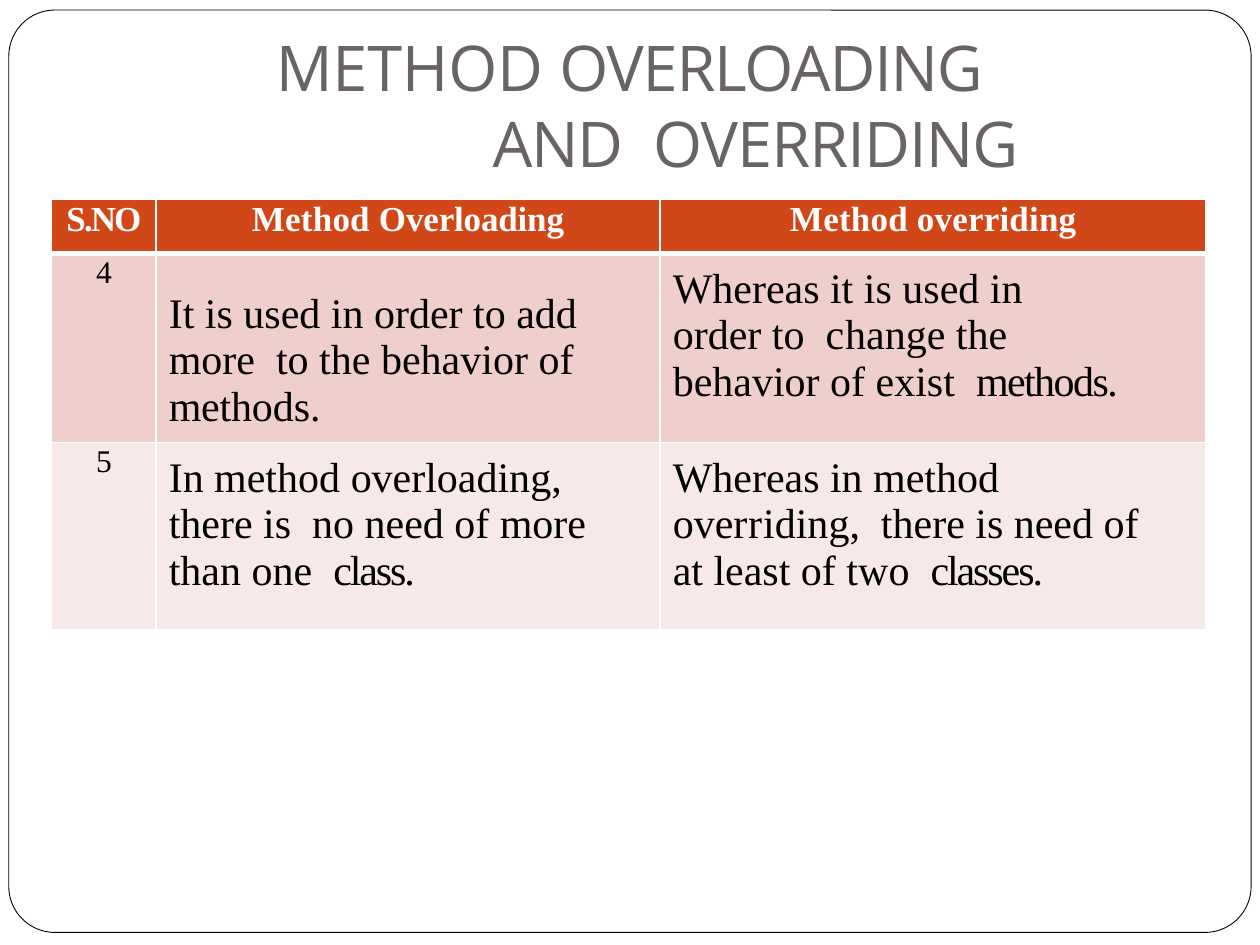
import pptx
import pptx.util
import pptx.dml.color
import pptx.enum.shapes
import pptx.enum.text
import pptx.oxml.ns
import lxml.etree

Inches, Pt = pptx.util.Inches, pptx.util.Pt
RGBColor = pptx.dml.color.RGBColor
CENTER = pptx.enum.text.PP_ALIGN.CENTER
LEFT = pptx.enum.text.PP_ALIGN.LEFT

BLACK = RGBColor(0x00, 0x00, 0x00)
WHITE = RGBColor(0xFF, 0xFF, 0xFF)
GRAY = RGBColor(0x69, 0x63, 0x63)
RUST = RGBColor(0xD2, 0x47, 0x17)
ROSE = RGBColor(0xEE, 0xCF, 0xCC)
BLUSH = RGBColor(0xF7, 0xE9, 0xE7)

WIDE, HIGH = 10, 7.5
COLS = (0.83, 4, 4.33)
ROWS = (0.43, 1.49, 1.49)
FILLS = (RUST, ROSE, BLUSH)
SERIF = "Times New Roman"

TITLE = [("METHOD ", -0.1), ("OVERLOADING ", -0.7), ("AND  ", -0.8), ("OVERRIDING", -0.5)]

# Each cell: runs of (text, letter spacing), size, top inset,
# space before, left indent (None means centred), right indent.
HEAD = [
    ([("S.NO", -1.1)], 20, 0.01, 0.8, None, 0),
    ([("Method ", 0.1), ("Overloading", -0.1)], 20, 0.01, 0.8, 0.76, 0),
    ([("Method overriding", 0.1)], 20, 0.01, 0.8, 1.03, 0),
]
FOUR = [
    ([("4", 0)], 18, 0.02, 1.1, None, 0),
    ([("It is used in order to add mo", 0), ("r", -0.2), ("e  to the beh", 0),
      ("a", -0.7), ("vior of ", 0), ("method", -0.1), ("s", -0.4), (".", 0)],
     24, 0.3, 21.6, 0.1, 0),
    ([("Whe", 0), ("r", -0.2), ("eas it is used in order to  ", 0), ("c", 0.5),
      ("hange the beh", 0), ("a", -0.8), ("vior of exist  ", 0), ("methods.", -0.9)],
     24, 0.1, 7.2, 0.1, 0.68),
]
FIVE = [
    ([("5", 0)], 18, 0.02, 1.1, None, 0),
    ([("In method ", 0), ("o", -0.7), ("v", -0.6), ("erloadin", 0), ("g", -0.3),
      (", the", 0), ("r", -0.2), ("e is  no need of more than one  ", 0),
      ("class.", -1.2)],
     24, 0.1, 7.2, 0.1, 0.2),
    ([("Whe", 0), ("r", -0.2), ("eas in method", 0), (" o", -0.7), ("v", -0.6),
      ("e", 0), ("rr", 0.5), ("idin", 0), ("g", -0.4), (",  the", 0), ("r", -0.2),
      ("e is need of ", 0), ("a", -0.2), ("t least of t", 0), ("w", -0.9),
      ("o  ", 0), ("classes.", -1.2)],
     24, 0.1, 7.2, 0.1, 0.35),
]


def add_runs(para, runs, size, face, color, bold=False):
    """Add runs of text, each with its own letter spacing in points."""
    for text, gap in runs:
        run = para.add_run()
        run.text = text
        font = run.font
        font.size, font.name, font.bold = Pt(size), face, bold
        font.color.rgb = color
        if gap:
            font._element.set("spc", str(round(gap * 100)))


def indent(para, left, first=0, right=0):
    """Set the paragraph's left, first-line and right indents in inches."""
    props = para._p.get_or_add_pPr()
    for name, size in (("marL", left), ("marR", right), ("indent", first)):
        props.set(name, str(int(Inches(size))))


def set_edge(cell, side, width, spot):
    """Draw one white border of a cell."""
    tag = pptx.oxml.ns.qn
    line = lxml.etree.Element(tag("a:ln" + side), w=str(int(Pt(width))))
    fill = lxml.etree.SubElement(line, tag("a:solidFill"))
    lxml.etree.SubElement(fill, tag("a:srgbClr"), val=str(WHITE))
    cell._tc.get_or_add_tcPr().insert(spot, line)


def add_frame(slide):
    """Add the thin rounded frame around the slide."""
    left, top = 0.07, 0.08
    wide, high = WIDE - 2 * left, 7.32
    frame = slide.shapes.add_shape(
        pptx.enum.shapes.MSO_SHAPE.ROUNDED_RECTANGLE,
        Inches(left), Inches(top), Inches(wide), Inches(high))
    frame.adjustments[0] = 0.05
    frame.shadow.inherit = False
    frame.fill.background()
    frame.line.color.rgb = BLACK
    frame.line.width = Pt(0.5)


def add_title(slide):
    """Add the title with its hanging second line."""
    wide = 6.64
    box = slide.shapes.add_textbox(
        Inches((WIDE - wide) / 2), Inches(0.22), Inches(wide), Inches(1.23))
    frame = box.text_frame
    frame.word_wrap = True
    frame.margin_left = frame.margin_right = frame.margin_bottom = 0
    frame.margin_top = Inches(0.01)
    para = frame.paragraphs[0]
    para.space_before = Pt(1)
    indent(para, 2.23, -1.72)
    add_runs(para, TITLE, 36, "Open Sans", GRAY)


def fill_cell(cell, data, row):
    """Fill one table cell with its text, colour and borders."""
    runs, size, top, before, left, right = data
    cell.fill.solid()
    cell.fill.fore_color.rgb = FILLS[row]
    cell.margin_left = cell.margin_right = cell.margin_bottom = 0
    cell.margin_top = Inches(top)
    para = cell.text_frame.paragraphs[0]
    para.space_before = Pt(before)
    para.alignment = CENTER if left is None else LEFT
    indent(para, left or 0, 0, right)
    add_runs(para, runs, size, SERIF, BLACK if row else WHITE, row == 0)
    edges = {"L": 1, "R": 1, "T": 3 if row == 1 else 1, "B": 1 if row else 3}
    for spot, (side, width) in enumerate(edges.items()):
        set_edge(cell, side, width, spot)


def add_grid(slide):
    """Add the table that compares the two kinds of method."""
    table = slide.shapes.add_table(
        len(ROWS), len(COLS), Inches(0.41), Inches(1.58),
        Inches(sum(COLS)), Inches(sum(ROWS))).table
    table.horz_banding = False
    for col, wide in zip(table.columns, COLS):
        col.width = Inches(wide)
    for row, high in zip(table.rows, ROWS):
        row.height = Inches(high)
    for row, cells in enumerate((HEAD, FOUR, FIVE)):
        for col, data in enumerate(cells):
            fill_cell(table.cell(row, col), data, row)


def main():
    """Build the slide and save it."""
    deck = pptx.Presentation()
    deck.slide_width, deck.slide_height = Inches(WIDE), Inches(HIGH)
    slide = deck.slides.add_slide(deck.slide_layouts[6])
    add_frame(slide)
    add_title(slide)
    add_grid(slide)
    deck.save("out.pptx")


main()
